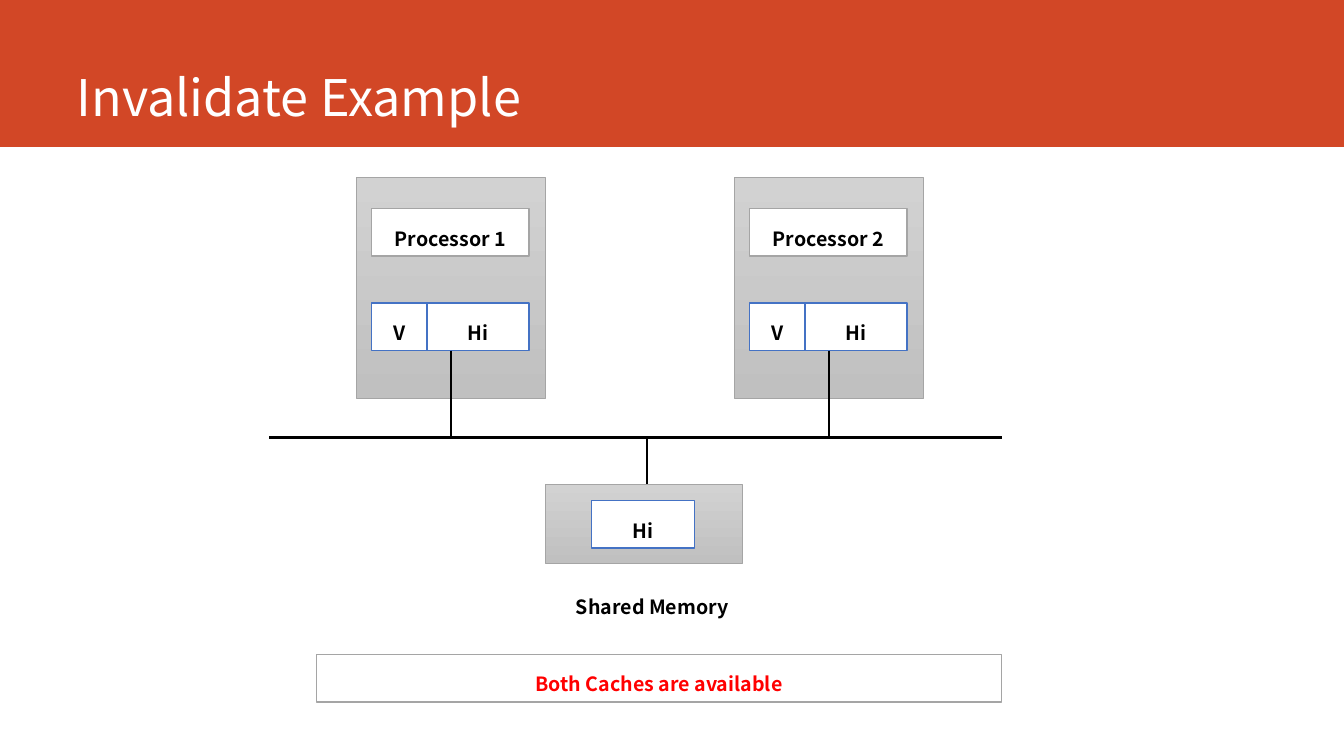
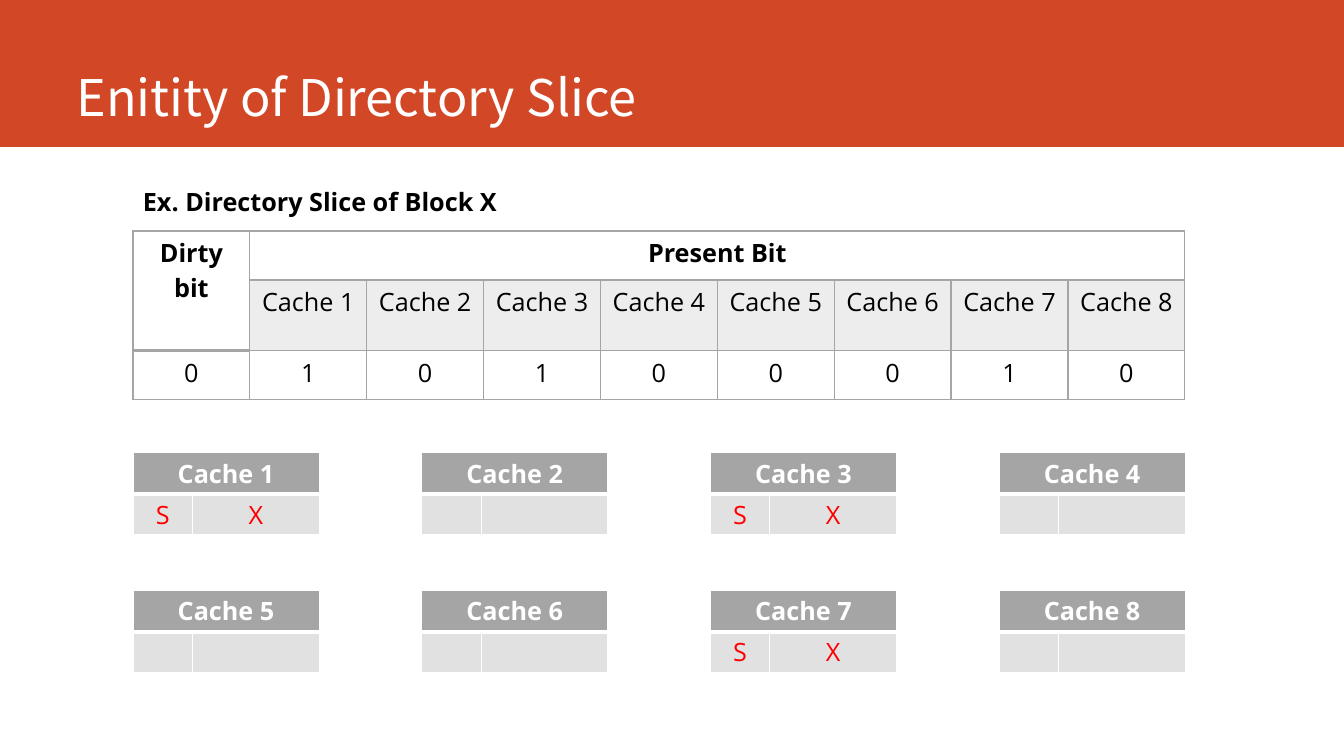
from pptx import Presentation
from pptx.dml.color import RGBColor
from pptx.enum.shapes import MSO_CONNECTOR, MSO_SHAPE
from pptx.enum.text import MSO_ANCHOR, MSO_AUTO_SIZE, PP_ALIGN
from pptx.oxml.ns import qn
from pptx.util import Pt
from lxml.etree import SubElement

ORANGE, WHITE, BLACK, RED = "D24726", "FFFFFF", "000000", "FF0000"
GREY, PALE, LIGHT, BLUE = "A5A5A5", "EDEDED", "E1E1E1", "4472C4"
PANEL_TOP, PANEL_BOTTOM = "D2D2D2", "C0C0C0"
HEAD_FONT, BODY_FONT = "Noto Sans CJK KR", "Open Sans"
color = RGBColor.from_string


def write(frame, text, size=18, font=BODY_FONT, ink=BLACK, bold=False,
          align=PP_ALIGN.CENTER, spacing=None, before=None):
    paragraph = frame.paragraphs[0]
    paragraph.alignment = align
    paragraph.line_spacing = spacing
    paragraph.space_before = before
    if text:
        run = paragraph.add_run()
        run.text = text
        run.font.size, run.font.name, run.font.bold = Pt(size), font, bold
        run.font.color.rgb = color(ink)


def fill_cell(cell, text, fill, border, top=1, bottom=1, **text_format):
    properties = cell._tc.get_or_add_tcPr()
    for side, width in (("L", 1), ("R", 1), ("T", top), ("B", bottom)):
        edge = SubElement(properties, qn(f"a:ln{side}"), w=str(Pt(width)))
        SubElement(SubElement(edge, qn("a:solidFill")), qn("a:srgbClr"), val=border)
    cell.fill.solid()
    cell.fill.fore_color.rgb = color(fill)
    write(cell.text_frame, text, **text_format)


deck = Presentation()
deck.slide_width, deck.slide_height = Pt(960), Pt(540)

# Shared layout: title position and orange band
layout = deck.slide_layouts[5]
heading = layout.placeholders[0]
heading.left, heading.top, heading.width, heading.height = Pt(47.5), Pt(0), Pt(847), Pt(95)
heading.text_frame.vertical_anchor = MSO_ANCHOR.BOTTOM
heading.text_frame.auto_size = MSO_AUTO_SIZE.NONE

slides = []
for title in ("Invalidate Example", "Enitity of Directory Slice"):
    slide = deck.slides.add_slide(layout)
    write(slide.shapes.title.text_frame, title, size=36, font=HEAD_FONT,
          ink=WHITE, align=PP_ALIGN.LEFT, spacing=0.9)
    slides.append(slide)
invalidate, directory = slides

band = invalidate.shapes.add_shape(MSO_SHAPE.RECTANGLE, 0, 0, deck.slide_width, Pt(105))
band.shadow.inherit = False
band.fill.solid()
band.fill.fore_color.rgb = color(ORANGE)
band.line.fill.background()
layout.shapes.element.insert(2, band.element)

# Slide 1: two processors with caches, shared memory and status
# Each part: left, top, width, height, text (None for a panel), outline, ink
BUS_Y, MEMORY_Y = 312.5, 346
parts, wires = [], [(192.5, BUS_Y, 715.5, BUS_Y), (462, BUS_Y, 462, MEMORY_Y)]
for number, left in enumerate((254.5, 524.5), start=1):
    parts += [
        (left, 127, 135, 157.5, None, GREY, BLACK),
        (left + 11, 149, 112.5, 34, f"Processor {number}", GREY, BLACK),
        (left + 11, 216.5, 39.5, 34, "V", BLUE, BLACK),
        (left + 50.5, 216.5, 73, 34, "Hi", BLUE, BLACK),
    ]
    wires.append((left + 67.5, 250.5, left + 67.5, BUS_Y))
parts += [
    (389.5, MEMORY_Y, 140.5, 56.5, None, GREY, BLACK),
    (422.5, 357.5, 73.5, 34, "Hi", BLUE, BLACK),
    (404, 415, 124, 29, "Shared Memory", None, BLACK),
    (226, 467.5, 489.5, 34, "Both Caches are available", GREY, RED),
]
for left, top, width, height, text, outline, ink in parts:
    part = invalidate.shapes.add_shape(
        MSO_SHAPE.RECTANGLE, Pt(left), Pt(top), Pt(width), Pt(height))
    part.shadow.inherit = False
    if text is None:
        part.fill.gradient()
        part.fill.gradient_angle = 270
        for stop, shade in zip(part.fill.gradient_stops, (PANEL_TOP, PANEL_BOTTOM)):
            stop.color.rgb = color(shade)
    else:
        part.fill.solid()
        part.fill.fore_color.rgb = color(WHITE)
        part.text_frame.word_wrap = False
        write(part.text_frame, text, size=14, font=HEAD_FONT, ink=ink,
              bold=True, spacing=1.5, before=Pt(2.8))
    if outline:
        part.line.color.rgb = color(outline)
        part.line.width = Pt(0.5 if text is None else 1)
    else:
        part.line.fill.background()

for x1, y1, x2, y2 in wires:
    wire = invalidate.shapes.add_connector(
        MSO_CONNECTOR.STRAIGHT, Pt(x1), Pt(y1), Pt(x2), Pt(y2))
    wire.line.color.rgb = color(BLACK)
    wire.line.width = Pt(1.5)
    SubElement(wire._element.spPr, qn("a:effectLst"))

# Slide 2: directory entry of block X
LEFT = 95
caption = directory.shapes.add_textbox(Pt(LEFT), Pt(129.5), Pt(309), Pt(29))
caption.text_frame.word_wrap = True
write(caption.text_frame, "Ex. Directory Slice of Block X", bold=True, align=PP_ALIGN.LEFT)

present = [1, 0, 1, 0, 0, 0, 1, 0]
names = [f"Cache {number}" for number in range(1, 9)]
rows = [
    ["Dirty bit", "Present Bit"] + [""] * 7,
    [""] + names,
    ["0"] + [str(bit) for bit in present],
]
entry = directory.shapes.add_table(3, 9, Pt(LEFT), Pt(165), Pt(751.5), Pt(105)).table
entry.first_row = entry.horz_banding = False
for column in entry.columns:
    column.width = Pt(83.5)
entry.cell(0, 0).merge(entry.cell(1, 0))
entry.cell(0, 1).merge(entry.cell(0, 8))
for r, row in enumerate(rows):
    for c, text in enumerate(row):
        fill_cell(entry.cell(r, c), text, PALE if r == 1 and c else WHITE, GREY,
                  top=2 if (r == 1 and c) or (r == 2 and not c) else 1,
                  bottom=2 if (r == 0 and c) or (r == 1 and not c) else 1,
                  bold=r == 0)

# Eight caches in a grid of four columns
for index, (name, bit) in enumerate(zip(names, present)):
    row, column = divmod(index, 4)
    cache = directory.shapes.add_table(
        2, 2, Pt(LEFT + column * 206.2), Pt(323.5 + row * 98.5), Pt(133), Pt(58.5)).table
    cache.first_row = cache.horz_banding = False
    cache.columns[0].width, cache.columns[1].width = Pt(42.5), Pt(90.5)
    cache.cell(0, 0).merge(cache.cell(0, 1))
    for c, (head, value) in enumerate(((name, "S"), ("", "X"))):
        fill_cell(cache.cell(0, c), head, GREY, WHITE, bottom=3, ink=WHITE, bold=True)
        fill_cell(cache.cell(1, c), value if bit else "", LIGHT, WHITE, top=3, ink=RED)
    for cell in cache.iter_cells():
        cell.margin_top = cell.margin_bottom = Pt(2.4)

deck.save("out.pptx")
